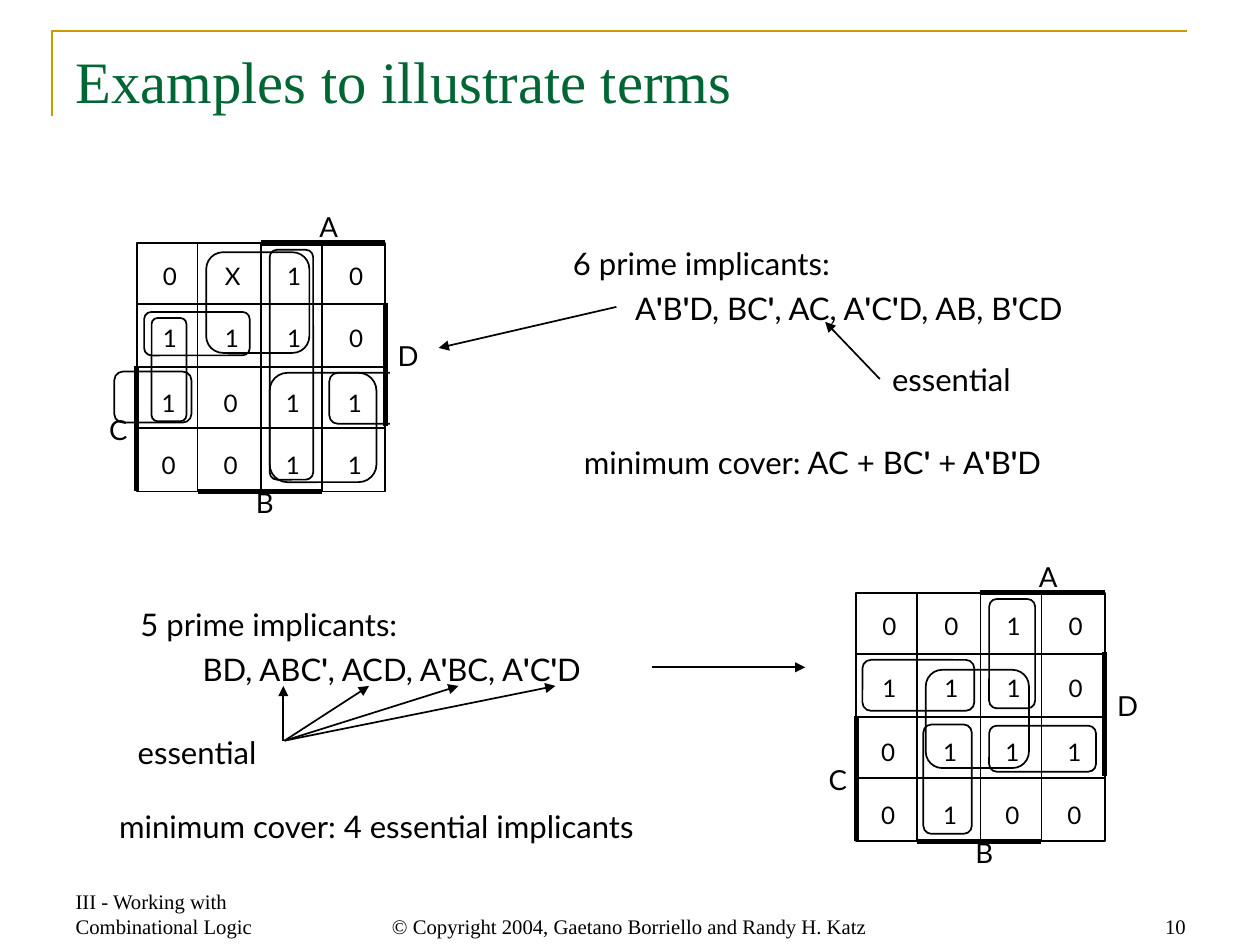
from lxml import etree
from pptx import Presentation
from pptx.dml.color import RGBColor as RGB
from pptx.enum.shapes import MSO_CONNECTOR as CONN, MSO_SHAPE as KIND
from pptx.enum.text import MSO_ANCHOR as ANCHOR, MSO_AUTO_SIZE as AUTO, PP_ALIGN as ALIGN
from pptx.oxml.ns import qn
from pptx.util import Inches as In, Pt

INK = {"text": "000000", "title": "006633", "rule": "CC9900", "back": "FFFFFF"}
SANS, SERIF = "Lato", "Times New Roman"
CELL = 0.5  # side of one map cell
TIGHT, WIDE = (0.02, 0.03), (0.1, 0.05)  # text insets

deck = Presentation()
deck.slide_width = Pt(730)
deck.slide_height = Pt(547.5)
slide = deck.slides.add_slide(deck.slide_layouts[5])
shapes = slide.shapes


def write(lines, x, y, w, h, size=18, face=SANS, pad=WIDE, lead=None, gap=0,
          side=ALIGN.LEFT, hold=ANCHOR.TOP, ink="text", box=None):
    """Fill a text box; primes are bold, and a line feed breaks the line."""
    box = box or shapes.add_textbox(0, 0, 0, 0)
    box.left, box.top, box.width, box.height = In(x), In(y), In(w), In(h)
    frame = box.text_frame
    frame.word_wrap, frame.auto_size, frame.vertical_anchor = True, AUTO.NONE, hold
    frame.margin_left = frame.margin_right = In(pad[0])
    frame.margin_top = frame.margin_bottom = In(pad[1])
    for n, line in enumerate(lines):
        para = frame.add_paragraph() if n else frame.paragraphs[0]
        para.alignment = side
        if lead:
            para.line_spacing = Pt(lead)
            para.space_before = Pt(gap if n or lead > 18 else 0)
        if "\t" in line:
            tabs = etree.SubElement(para._p.get_or_add_pPr(), qn("a:tabLst"))
            etree.SubElement(tabs, qn("a:tab"), pos=str(In(CELL)), algn="l")
        for part in line.replace("'", "|'|").replace("\n", "|\n|").split("|"):
            if part == "\n":
                para.add_line_break()
            elif part:
                run = para.add_run()
                run.text = part
                font = run.font
                font.name, font.size, font.bold = face, Pt(size), part == "'"
                font.color.rgb = RGB.from_string(INK[ink])
    return box


def draw(x1, y1, x2, y2, width=1, arrow=False):
    """Draw a straight line, with an arrowhead at its end if asked."""
    line = shapes.add_connector(CONN.STRAIGHT, In(x1), In(y1), In(x2), In(y2))
    line.line.color.rgb = RGB.from_string(INK["text"])
    line.line.width = Pt(width)
    if arrow:
        etree.SubElement(line.line._get_or_add_ln(), qn("a:tailEnd"), type="triangle")
    etree.SubElement(line._element.spPr, qn("a:effectLst"))
    return line


# Corner rule
pen = shapes.build_freeform(In(0.42), In(0.93))
pen.add_line_segments([(In(0.42), In(0.25)), (In(9.55), In(0.25))], close=False)
rule = pen.convert_to_shape()
rule.fill.background()
rule.line.color.rgb = RGB.from_string(INK["rule"])
rule.line.width = Pt(1.5)
rule.shadow.inherit = False

# Title
write(["Examples to illustrate terms"], 0.51, 0.31, 9.12, 1.26, 34, SERIF,
      ink="title", box=shapes.title)

# Maps: left, top, cell values, loops
maps = [
    (1.1, 1.955, ["0X10", "1110", "1011", "0011"],
     [(0.92, 2.99, 0.62, 0.41), (2.65, 3, 0.62, 0.41), (2.17, 3, 0.86, 0.88),
      (2.17, 2.01, 0.35, 1.85), (1.16, 2.51, 0.85, 0.35),
      (1.66, 2.03, 0.83, 0.81), (1.22, 2.56, 0.28, 0.83)]),
    (6.89, 4.77, ["0010", "1110", "0111", "0100"],
     [(7.96, 4.82, 0.37, 0.88), (6.94, 5.31, 0.9, 0.41), (7.43, 5.83, 0.39, 0.88),
      (7.96, 5.84, 0.86, 0.37), (7.45, 5.39, 0.83, 0.79)]),
]
quads = [(col, row) for row in (0, 2) for col in (0, 2)]
bars = [(2, 0, 4, 0), (4, 0.96, 4, 2.95), (0.98, 4, 2.98, 4), (0, 1.98, 0, 4)]
names = [("A", 1.45, -0.25), ("D", 2.08, 0.79), ("B", 0.94, 1.97)]

for left, top, rows, loops in maps:
    # Loops, a mask for the one that wraps round the edge, and quadrants
    boxes = [(KIND.ROUNDED_RECTANGLE, *loop) for loop in loops]
    if left == maps[0][0]:
        boxes.append((None, 3.14, 2.97, 0.23, 0.49))
    boxes += [(KIND.RECTANGLE, left + c * CELL, top + r * CELL, 2 * CELL, 2 * CELL)
              for c, r in quads]
    for kind, *place in boxes:
        box = shapes.add_shape(kind or KIND.RECTANGLE, *map(In, place))
        box.shadow.inherit = False
        if kind:
            box.fill.background()
            box.line.color.rgb = RGB.from_string(INK["text"])
            box.line.width = Pt(1)
        else:
            box.fill.solid()
            box.fill.fore_color.rgb = RGB.from_string(INK["back"])
            box.line.fill.background()

    # Cell lines and values
    for c, r in quads:
        x, y = left + c * CELL, top + r * CELL
        draw(x + 0.49, y, x + 0.49, y + 2 * CELL)
        draw(x, y + 0.49, x + 2 * CELL, y + 0.49)
        pairs = ["\t".join(row[c:c + 2]) for row in rows[r:r + 2]]
        dx, dy = (0.18, 0.12) if r else (0.19, 0.1)
        write(pairs, x + dx, y + dy, 0.9, 0.89, 14, pad=TIGHT, lead=18, gap=18)

    # Variable bars and names
    for x1, y1, x2, y2 in bars:
        draw(left + x1 * CELL, top + y1 * CELL, left + x2 * CELL, top + y2 * CELL, 3)
    for name, dx, dy in names:
        write([name], left + dx, top + dy, 0.64, 0.36, 16, pad=TIGHT, lead=16)
    write(["C"], left - 0.32, top + 1.32, 0.34, 0.37, 16)

# Implicant lists
for words, x, y in [
    ("6 prime implicants:\n\tA'B'D, BC', AC, A'C'D, AB, B'CD", 4.59, 1.88),
    ("5 prime implicants:\n\tBD, ABC', ACD, A'BC, A'C'D", 1.11, 4.78),
]:
    write([words], x, y, 4.89, 0.75, pad=TIGHT, lead=26, gap=11)

# Covers and essential terms
write(["minimum cover: AC + BC' + A'B'D"], 4.6, 3.52, 4.01, 0.7)
write(["minimum cover: 4 essential implicants"], 0.86, 6.45, 4.69, 0.4)
key = write(["essential"], 7.08, 2.85, 1.23, 0.4)
write(["essential"], 1.01, 5.85, 1.23, 0.4)

# Arrows
draw(4.96, 2.47, 3.53, 2.8, arrow=True)
draw(5.25, 5.37, 6.48, 5.37, arrow=True)
draw(7.08, 3.05, 6.64, 2.59, arrow=True).begin_connect(key, 1)
for tip in (2.28, 2.97, 3.69, 4.47):
    draw(min(tip, 2.29), 5.96, tip, 5.52, arrow=True)

# Footer
for words, x, w, side in [
    ("III - Working with Combinational Logic", 0.51, 2.37, ALIGN.LEFT),
    ("© Copyright 2004, Gaetano Borriello and Randy H. Katz", 2.9, 4.33, ALIGN.CENTER),
    ("10", 7.27, 2.37, ALIGN.RIGHT),
]:
    write([words], x, 7.09, w, 0.51, 12, SERIF, side=side, hold=ANCHOR.BOTTOM)

deck.save("out.pptx")
